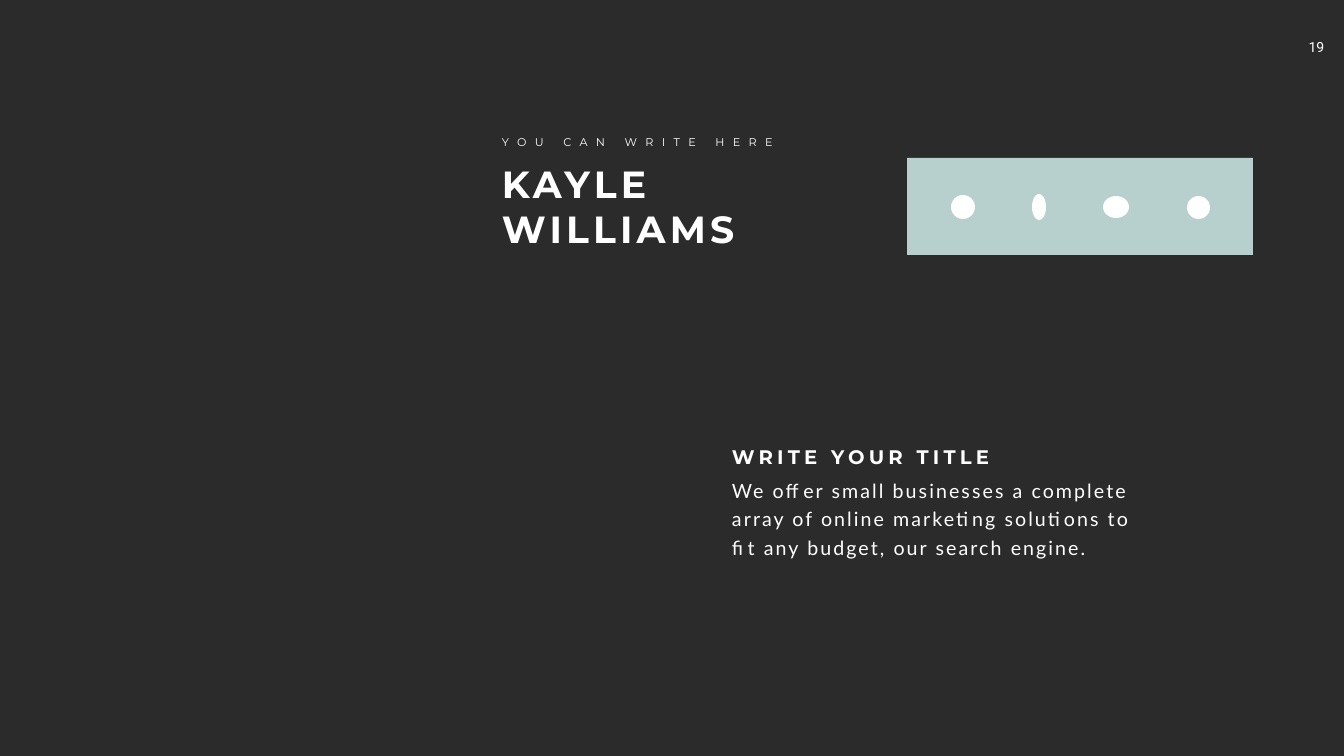
from dataclasses import dataclass
from pptx import Presentation
from pptx.dml.color import RGBColor
from pptx.enum.shapes import MSO_SHAPE
from pptx.enum.text import MSO_ANCHOR, MSO_AUTO_SIZE, PP_ALIGN
from pptx.oxml.xmlchemy import OxmlElement
from pptx.util import Emu, Pt

EMU_PER_PX = 914400 / 50.4


def px(length):
    return Emu(round(length * EMU_PER_PX))


@dataclass(frozen=True)
class Theme:
    background: RGBColor = RGBColor(0x2B, 0x2B, 0x2B)
    banner: RGBColor = RGBColor(0xB7, 0xD0, 0xCD)
    light: RGBColor = RGBColor(0xFF, 0xFF, 0xFF)
    display_font: str = "Montserrat"
    body_font: str = "Lato"
    number_font: str = "Roboto"
    name_size: int = 54
    text_size: int = 28
    number_size: int = 20
    kicker_size: int = 16


class SlideBuilder:
    def __init__(self, page, theme):
        self.page = page
        self.theme = theme
        page.background.fill.solid()
        page.background.fill.fore_color.rgb = theme.background

    def set_text(self, box, area, text, font, size, spacing=0, bold=False,
                 align=PP_ALIGN.LEFT, line_spacing=None, wrap=True):
        box.left, box.top, box.width, box.height = map(px, area)
        frame = box.text_frame
        frame.word_wrap = wrap
        frame.auto_size = MSO_AUTO_SIZE.NONE
        frame.vertical_anchor = MSO_ANCHOR.TOP
        frame.margin_left = frame.margin_right = px(5)
        frame.margin_top = frame.margin_bottom = Pt(3.6)
        para = frame.paragraphs[0]
        para.alignment = align
        para.space_before = Pt(0)
        if line_spacing:
            para.line_spacing = Pt(line_spacing)
        span = para.add_run()
        span.text = text
        span.font.name = font
        span.font.size = Pt(size)
        span.font.bold = bold
        span.font.color.rgb = self.theme.light
        if spacing:
            span.font._element.set("spc", str(spacing * 100))

    def title(self, area, text, **style):
        self.set_text(self.page.shapes.title, area, text, **style)

    def body(self, area, text, **style):
        box = self.page.placeholders[1]
        properties = box.text_frame.paragraphs[0]._p.get_or_add_pPr()
        properties.set("marL", "0")
        properties.set("indent", "0")
        properties.append(OxmlElement("a:buNone"))
        self.set_text(box, area, text, **style)

    def text(self, area, text, **style):
        box = self.page.shapes.add_textbox(*map(px, area))
        self.set_text(box, area, text, **style)

    def shape(self, kind, area, color):
        shape = self.page.shapes.add_shape(kind, *map(px, area))
        shape.shadow.inherit = False
        shape.fill.solid()
        shape.fill.fore_color.rgb = color
        shape.line.fill.background()


def main():
    theme = Theme()
    deck = Presentation()
    deck.slide_width, deck.slide_height = px(1344), px(756)
    page = deck.slides.add_slide(deck.slide_layouts[1])
    builder = SlideBuilder(page, theme)

    # Page number
    builder.text((1291, 36, 51, 27), "19", font=theme.number_font,
                 size=theme.number_size, align=PP_ALIGN.CENTER)

    # Name block
    builder.title((497, 158, 346, 97), "KAYLE WILLIAMS", font=theme.display_font,
                  size=theme.name_size, spacing=6, bold=True)
    builder.text((497, 133, 291, 19), "YOU CAN WRITE HERE", font=theme.display_font,
                 size=theme.kicker_size, spacing=12, wrap=False)

    # Banner with a plain marker for each social network
    builder.shape(MSO_SHAPE.RECTANGLE, (907, 158, 346, 97), theme.banner)
    middle = 207
    for left, width, height in ((951, 24, 24), (1032, 14, 26), (1103, 26, 22), (1187, 23, 23)):
        builder.shape(MSO_SHAPE.OVAL, (left, middle - height // 2, width, height), theme.light)

    # Description
    builder.body((727, 471, 430, 89),
                 "We offer small businesses a complete array of online marketing "
                 "solutions to fit any budget, our search engine.",
                 font=theme.body_font, size=theme.text_size, spacing=3, line_spacing=40.8)
    builder.text((727, 442, 295, 29), "WRITE YOUR TITLE", font=theme.display_font,
                 size=theme.text_size, spacing=6, bold=True)

    deck.save("out.pptx")


if __name__ == "__main__":
    main()
